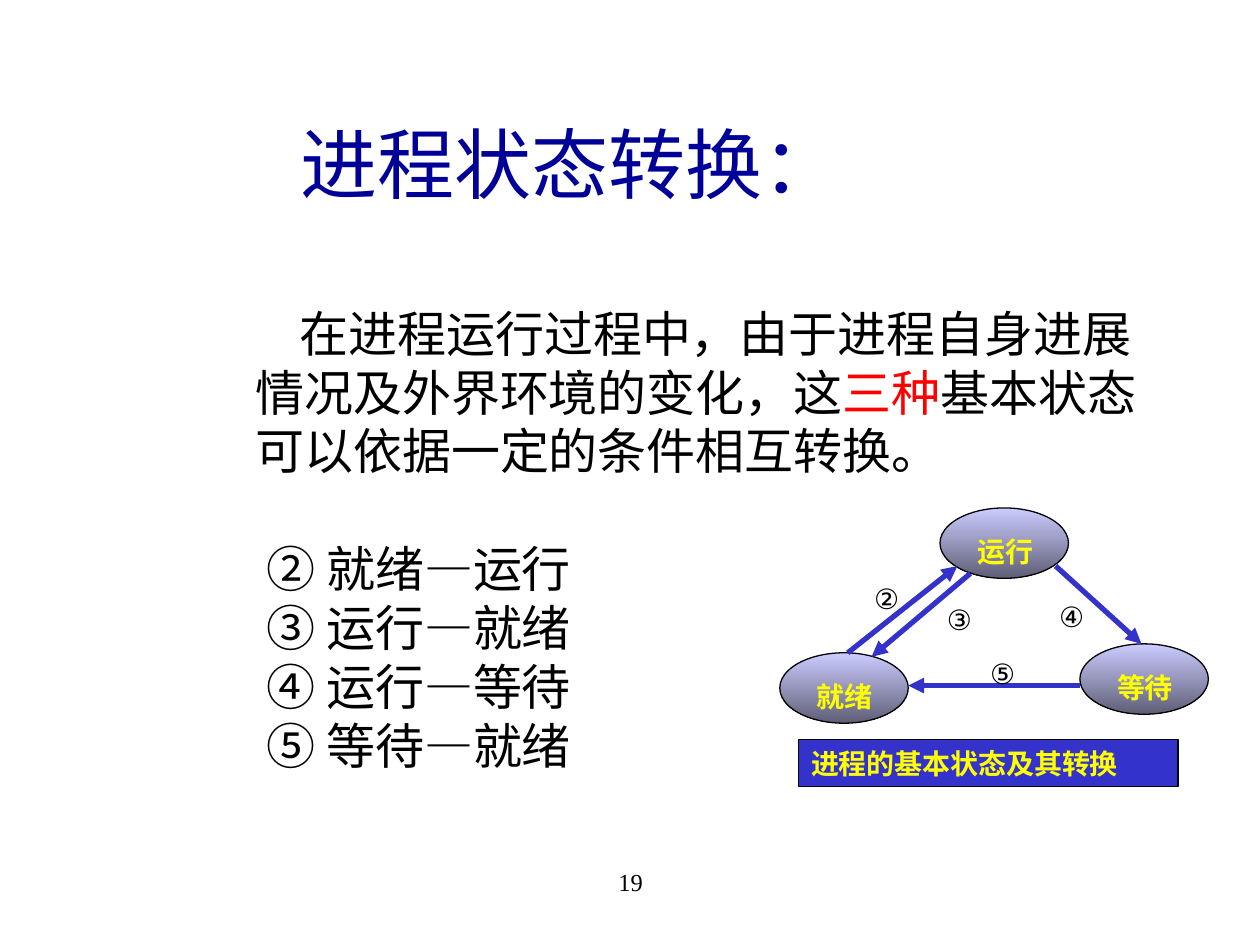
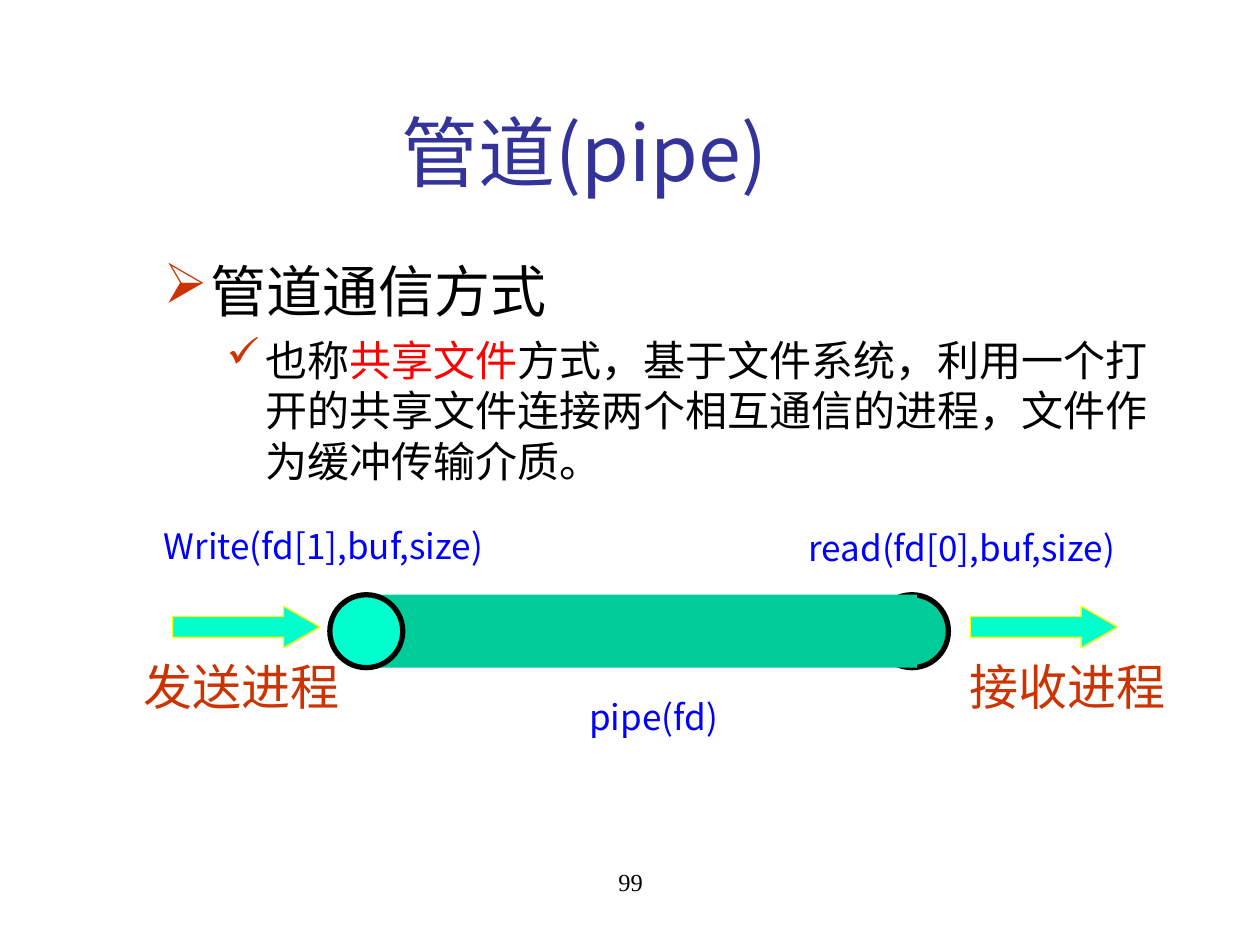
from lxml import etree
from pptx import Presentation
from pptx.dml.color import RGBColor
from pptx.enum.shapes import MSO_CONNECTOR, MSO_SHAPE
from pptx.enum.text import MSO_ANCHOR, PP_ALIGN
from pptx.oxml.ns import qn
from pptx.util import Cm, Pt

ELLIPSE, RECTANGLE, RIGHT_ARROW = MSO_SHAPE.OVAL, MSO_SHAPE.RECTANGLE, MSO_SHAPE.RIGHT_ARROW
STRAIGHT = MSO_CONNECTOR.STRAIGHT
TOP, MIDDLE, BOTTOM = MSO_ANCHOR.TOP, MSO_ANCHOR.MIDDLE, MSO_ANCHOR.BOTTOM
LEFT, CENTER = PP_ALIGN.LEFT, PP_ALIGN.CENTER
SANS, SERIF, SYMBOL = "Noto Sans CJK SC", "Times New Roman", "Arial"
COLORS = {
    "text": "000000", "navy": "000099", "title": "333399", "accent": "FF0000",
    "link": "3333CC", "yellow": "FFFF00", "state_top": "CCCCFF", "state_bottom": "5E5E76",
    "rust": "CC3300", "code": "0000FF", "pipe": "00CC99", "mint": "00FFCC",
}


def rgb(name):
    """Return the named palette colour."""
    return RGBColor.from_string(COLORS[name])


def set_font(font, size=None, color=None, name=None, bold=None):
    """Set the given font properties, with one East Asian typeface throughout."""
    if size:
        font.size = Pt(size)
    if color:
        font.color.rgb = rgb(color)
    if bold:
        font.bold = True
    if name:
        font.name = name
        latin = font._element.find(qn("a:latin"))
        east_asian = etree.Element(qn("a:ea"), typeface=SANS)
        latin.addnext(east_asian)


def write_spans(para, spans):
    """Add runs given as (text, font overrides)."""
    for text, overrides in spans:
        span = para.add_run()
        span.text = text
        set_font(span.font, **overrides)


def set_indent(para, margin, indent):
    """Set the left margin and first-line indent in centimetres."""
    properties = para._p.get_or_add_pPr()
    properties.set("marL", str(Cm(margin)))
    properties.set("indent", str(Cm(indent)))
    return properties


def add_text(page, box, text="", size=16, color="text", name=SANS, bold=False,
             align=LEFT, anchor=TOP, wrap=True):
    """Add a text box and return its frame."""
    frame = page.shapes.add_textbox(*map(Cm, box)).text_frame
    frame.word_wrap = wrap
    frame.vertical_anchor = anchor
    if text:
        para = frame.paragraphs[0]
        para.text = text
        para.alignment = align
        set_font(para.font, size, color, name, bold)
    return frame


def add_form(page, kind, box, fill=None, line=None, width=0.75):
    """Add a preset shape with plain fill and outline."""
    form = page.shapes.add_shape(kind, *map(Cm, box))
    form.shadow.inherit = False
    if fill:
        form.fill.solid()
        form.fill.fore_color.rgb = rgb(fill)
    if line:
        form.line.color.rgb = rgb(line)
        form.line.width = Pt(width)
    else:
        form.line.fill.background()
    return form


def add_frame(page, title, title_box, color, number):
    """Add the title and page number shared by the slides."""
    add_text(page, title_box, title, 44, color, align=CENTER, anchor=MIDDLE)
    add_text(page, (8.69, 17.35, 8.05, 1.27), number, 14, name=SERIF, align=CENTER)


def add_transition_text(page, box):
    """Add the explanation and the numbered transitions."""
    frame = add_text(page, box)
    para = frame.paragraphs[0]
    set_indent(para, 0, 0.89)
    set_font(para.font, 28, "text", SANS)
    write_spans(para, [
        ("在进程运行过程中，由于进程自身进展情况及外界环境的变化，这", {}),
        ("三种", {"color": "accent"}),
        ("基本状态可以依据一定的条件相互转换。", {}),
    ])
    transitions = [("②", "就绪—运行"), ("③", "运行—就绪"), ("④", "运行—等待"), ("⑤", "等待—就绪")]
    for index, (mark, label) in enumerate(transitions):
        para = frame.add_paragraph()
        set_indent(para, 0.22, 0)
        para.space_before = Pt(0 if index else 33.6)
        set_font(para.font, 28, "text")
        write_spans(para, [(mark, {"name": SYMBOL}), (f" {label}", {"name": SANS})])


def add_state(page, left, top, label):
    """Add one shaded state with its label."""
    state = add_form(page, ELLIPSE, (left, top, 2.59, 1.42), line="text")
    state.fill.gradient()
    state.fill.gradient_angle = 270
    for stop, position, color in zip(state.fill.gradient_stops, (0, 1), ("state_top", "state_bottom")):
        stop.position = position
        stop.color.rgb = rgb(color)
    add_text(page, (left + 0.5, top + 0.41, 1.73, 0.94), label, 16, "yellow", SERIF, True)


def add_arrow(page, start, end):
    """Add a straight line with an arrowhead at its end."""
    arrow = page.shapes.add_connector(STRAIGHT, *map(Cm, start + end))
    arrow.line.color.rgb = rgb("link")
    arrow.line.width = Pt(3)
    etree.SubElement(arrow.line._get_or_add_ln(), qn("a:tailEnd"), type="triangle")
    etree.SubElement(arrow._element.spPr, qn("a:effectLst"))


def add_state_diagram(page, left, top):
    """Add the three states, their transitions and the caption."""
    for x, y, label in [(0, 2.92, "就绪"), (3.23, 0, "运行"), (6.05, 2.74, "等待")]:
        add_state(page, left + x, top + y, label)
    arrows = [
        ("②", (1.65, 1.35), (1.37, 2.92), (3.58, 1.17)),
        ("③", (3.12, 1.78), (3.84, 1.32), (1.85, 3.0)),
        ("④", (5.38, 1.73), (5.56, 1.17), (7.29, 2.74)),
        ("⑤", (3.99, 2.87), (6.05, 3.58), (2.59, 3.58)),
    ]
    for mark, (mark_x, mark_y), start, end in arrows:
        add_arrow(page, (left + start[0], top + start[1]), (left + end[0], top + end[1]))
        add_text(page, (left + mark_x, top + mark_y, 1.02, 0.94), mark, name=SYMBOL, wrap=False)
    caption = add_form(page, RECTANGLE, (left + 0.38, top + 4.67, 7.65, 0.94), "link", "text")
    caption.text_frame.word_wrap = True
    para = caption.text_frame.paragraphs[0]
    para.text = "进程的基本状态及其转换"
    para.alignment = LEFT
    set_font(para.font, 16, "yellow", SANS, True)


def add_bullet(para, mark, margin, hanging):
    """Give a paragraph a coloured bullet and hanging indent."""
    properties = set_indent(para, margin, -hanging)
    color = etree.SubElement(properties, qn("a:buClr"))
    etree.SubElement(color, qn("a:srgbClr"), val=COLORS["rust"])
    etree.SubElement(properties, qn("a:buChar"), char=mark)


def add_pipe_text(page, box):
    """Add the bulleted description of pipes."""
    frame = add_text(page, box)
    heading = frame.paragraphs[0]
    add_bullet(heading, "➢", 0.95, 0.95)
    set_font(heading.font, 32, "text", SERIF)
    write_spans(heading, [("管道通信方式", {})])
    detail = frame.add_paragraph()
    detail.level = 1
    detail.space_before = Pt(6)
    add_bullet(detail, "✓", 2.06, 0.79)
    set_font(detail.font, 24, "text", SERIF)
    write_spans(detail, [
        ("也称", {}),
        ("共享文件", {"color": "accent"}),
        ("方式，基于文件系统，利用一个打开的共享文件连接两个相互通信的进程，文件作为缓冲传输介质。", {}),
    ])


def add_pipe_diagram(page, left, top):
    """Add the pipe between the sending and receiving processes."""
    end_size, pipe_top = 1.47, top + 2.41
    add_form(page, ELLIPSE, (left + 15.01, pipe_top, end_size, end_size), "pipe", "text", 3)
    add_form(page, RECTANGLE, (left + 4.85, pipe_top, 11, end_size), "pipe")
    add_form(page, ELLIPSE, (left + 4.01, pipe_top, end_size, end_size), "mint", "text", 3)
    for label, label_x, arrow_x in [("发送进程", 0, 0.84), ("接收进程", 16.66, 16.92)]:
        add_text(page, (left + label_x, top + 3.53, 4.45, 1.45), label, 28, "rust", SERIF, wrap=False)
        arrow = add_form(page, RIGHT_ARROW, (left + arrow_x, top + 2.64, 2.97, 0.84), "mint", "yellow")
        arrow.adjustments[0] = 0.5
        arrow.adjustments[1] = 0.875
    calls = [
        ("pipe(fd)", 8.99, 4.29, 4.27, 1.12),
        ("Write(fd[1],buf,size)", 0.41, 0, 8.2, 1.96),
        ("read(fd[0],buf,size)", 13.41, 0.05, 8.2, 1.96),
    ]
    for call, x, y, width, height in calls:
        add_text(page, (left + x, top + y, width, height), call, 20, "code", anchor=BOTTOM)


def main():
    """Build and save the deck."""
    deck = Presentation()
    deck.slide_width, deck.slide_height = Cm(25.4), Cm(19.05)
    blank = deck.slide_layouts[6]

    page = deck.slides.add_slide(blank)
    add_frame(page, "进程状态转换：", (3.2, 2.21, 16.61, 2.13), "navy", "19")
    add_transition_text(page, (4.9, 5.99, 19.08, 9.75))
    add_state_diagram(page, 15.72, 10.24)

    page = deck.slides.add_slide(blank)
    add_frame(page, "管道(pipe)", (0.99, 1.45, 21.59, 3.18), "title", "99")
    add_pipe_text(page, (3.05, 5.05, 20.96, 12.12))
    add_pipe_diagram(page, 2.64, 9.58)

    deck.save("out.pptx")


if __name__ == "__main__":
    main()
